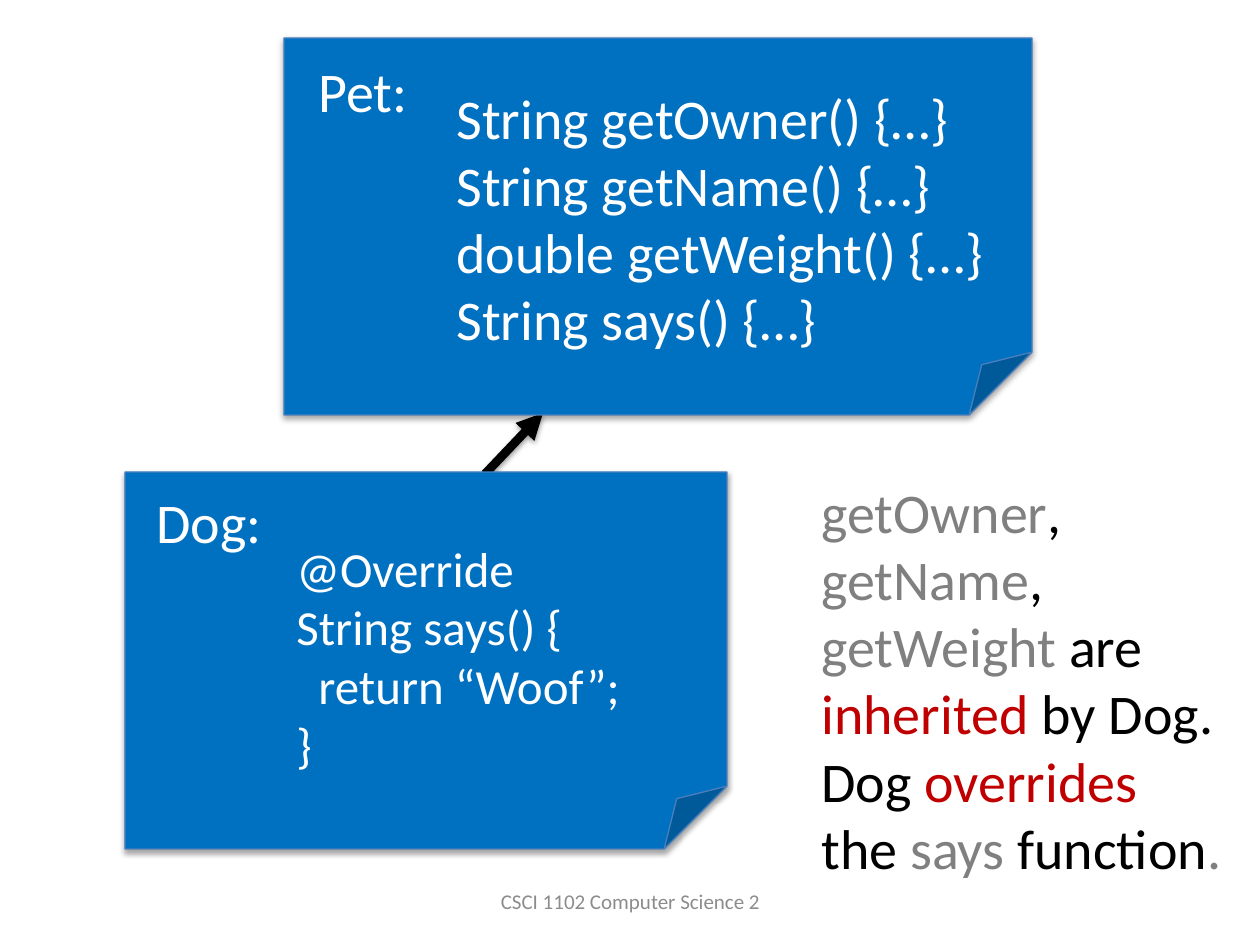
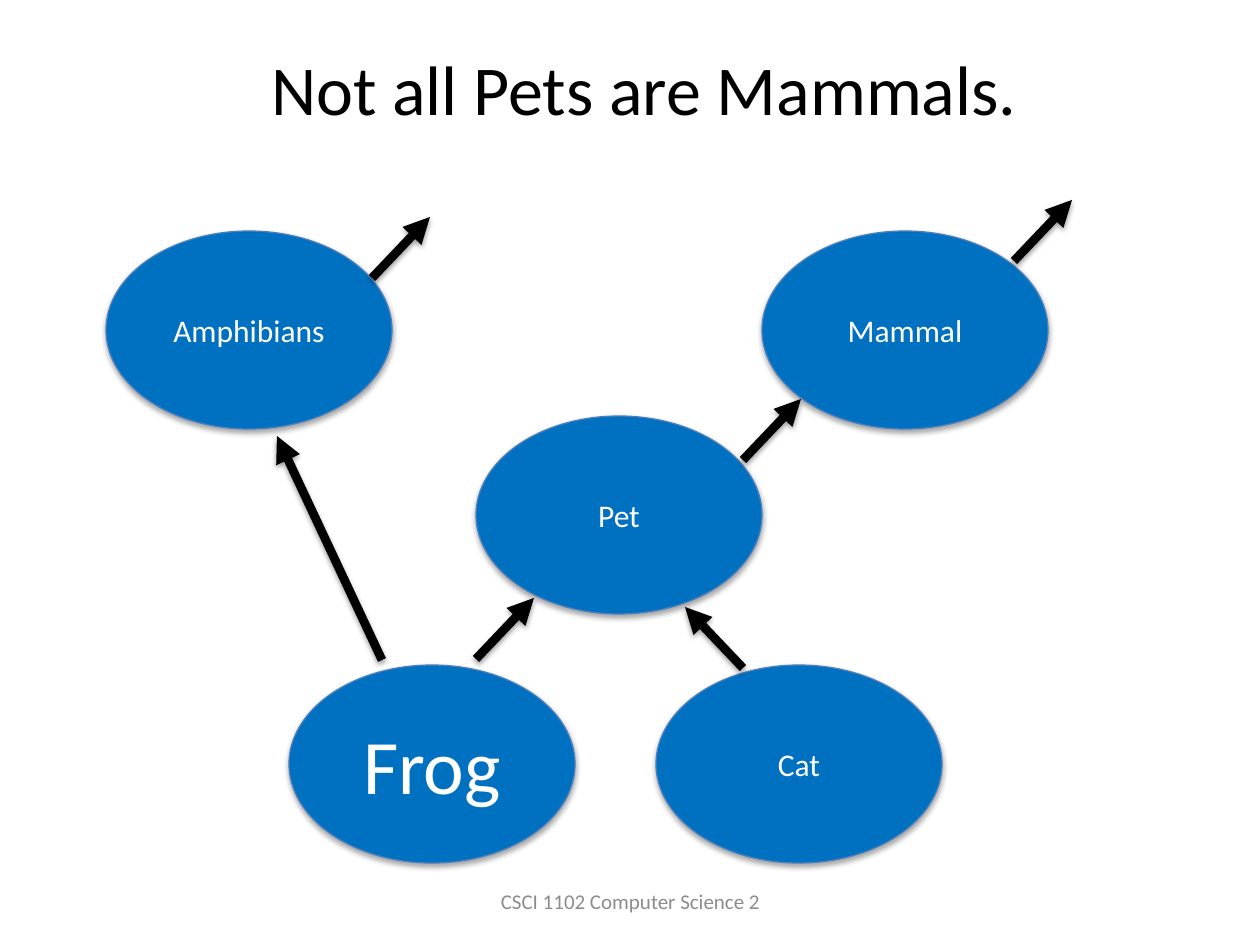
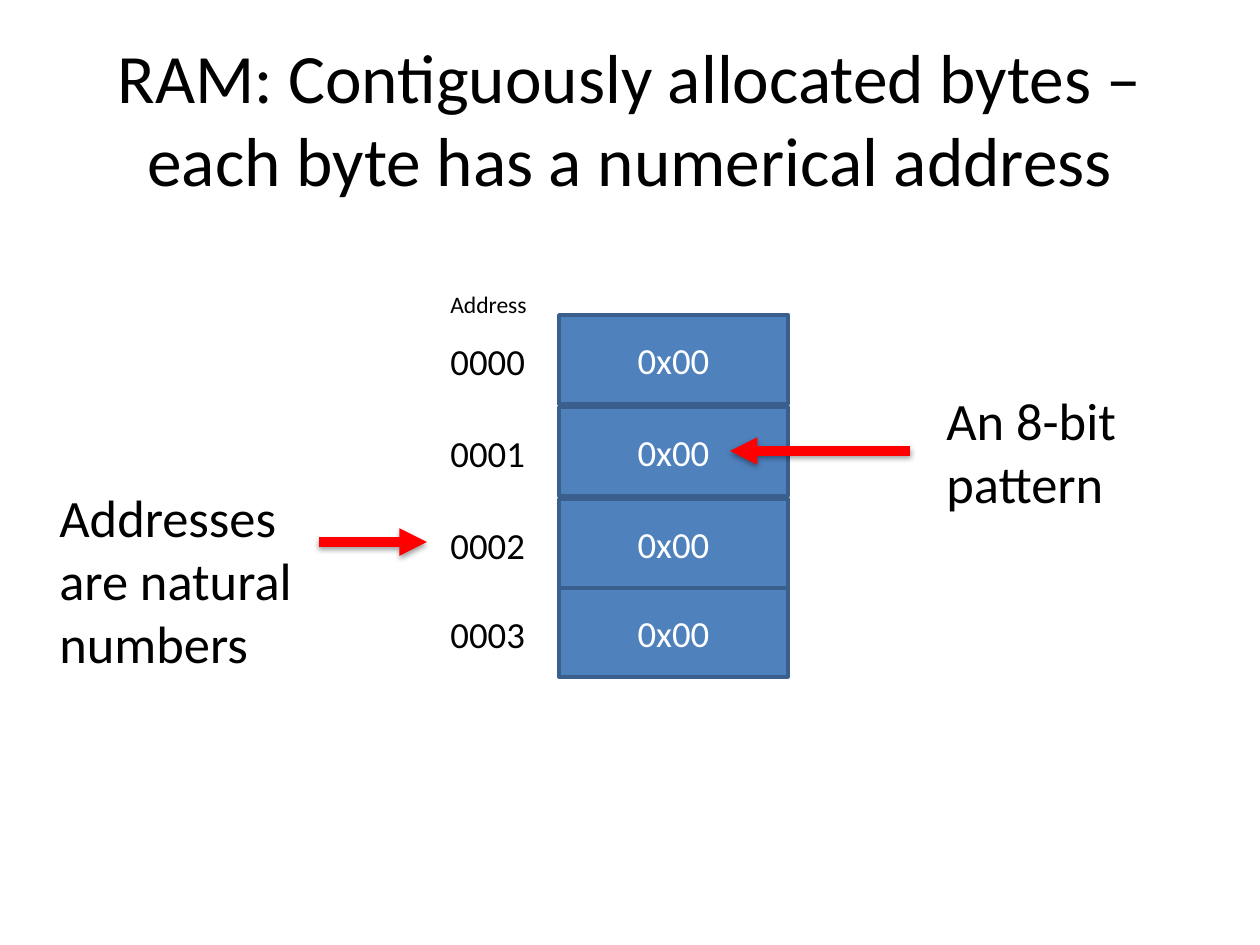
from lxml.etree import SubElement
from pptx import Presentation
from pptx.dml.color import RGBColor
from pptx.enum.shapes import MSO_CONNECTOR as LINK, MSO_SHAPE as SHAPE
from pptx.enum.text import MSO_ANCHOR as ANCHOR, MSO_AUTO_SIZE as FIT, PP_ALIGN as ALIGN
from pptx.oxml.ns import qn
from pptx.util import Pt

PX = 914400 / 126
FONT = "Calibri"
COLORS = {
    "black": "000000", "white": "FFFFFF", "gray": "808080", "footer": "8C8C8C",
    "accent": "C00000", "blue": "0070C0", "blue_edge": "4B7EBC",
    "cell": "4F81BD", "cell_edge": "3A5F8C", "red": "FF0000",
}
FOOTER = "CSCI 1102 Computer Science 2"
OVAL_SIZE = (286, 198)
STEP = (58, 61)


def emu(*lengths):
    return [round(length * PX) for length in lengths]


def rgb(name):
    return RGBColor.from_string(COLORS[name])


def write(shape, paragraphs, size, color, align=ALIGN.LEFT):
    """Fill a shape with paragraphs, each a string or a list of (text, color)."""
    frame = shape.text_frame
    for index, spans in enumerate(paragraphs):
        para = frame.paragraphs[0] if index == 0 else frame.add_paragraph()
        para.alignment = align
        if isinstance(spans, str):
            spans = [(spans, color)]
        for text, span_color in spans:
            for number, line in enumerate(text.split("\n")):
                if number:
                    para.add_line_break()
                span = para.add_run()
                span.text = line
                span.font.name = FONT
                span.font.size = Pt(size)
                span.font.color.rgb = rgb(span_color)


def add_text(page, box, paragraphs, size, color="black", align=ALIGN.LEFT,
             wrap=True, grow=True, anchor=ANCHOR.TOP):
    shape = page.shapes.add_textbox(*emu(*box))
    frame = shape.text_frame
    frame.word_wrap = wrap
    frame.auto_size = FIT.SHAPE_TO_FIT_TEXT if grow else FIT.NONE
    frame.vertical_anchor = anchor
    write(shape, paragraphs, size, color, align)


def add_shadow(shape, distance, opacity):
    effects = SubElement(shape._element.spPr, qn("a:effectLst"))
    shadow = SubElement(effects, qn("a:outerShdw"), blurRad="40000", dist=str(distance),
                        dir="5400000", rotWithShape="0")
    color = SubElement(shadow, qn("a:srgbClr"), val=COLORS["black"])
    SubElement(color, qn("a:alpha"), val=str(opacity * 1000))


def add_block(page, kind, box, fill, edge, width):
    shape = page.shapes.add_shape(kind, *emu(*box))
    shape.fill.solid()
    shape.fill.fore_color.rgb = rgb(fill)
    shape.line.color.rgb = rgb(edge)
    shape.line.width = Pt(width)
    return shape


def add_blue(page, kind, box):
    shape = add_block(page, kind, box, "blue", "blue_edge", 0.75)
    add_shadow(shape, 23000, 35)
    return shape


def add_arrow(page, start, end, color="black", width=5):
    arrow = page.shapes.add_connector(LINK.STRAIGHT, *emu(*start, *end))
    arrow.line.color.rgb = rgb(color)
    arrow.line.width = Pt(width)
    SubElement(arrow.line._ln, qn("a:tailEnd"), type="triangle")
    add_shadow(arrow, 20000, 38)


def add_step_arrow(page, start, direction=1):
    """Short arrow going up to the right (1) or to the left (-1)."""
    x, y = start
    add_arrow(page, start, (x + direction * STEP[0], y - STEP[1]))


def add_footer(page):
    add_text(page, (431, 876, 399, 50), [FOOTER], 12, "footer", ALIGN.CENTER,
             grow=False, anchor=ANCHOR.MIDDLE)


def add_class_note(page, box, name, name_box, code, code_box, size):
    """Folded note of a class; the inner boxes are relative to the note."""
    left, top = box[:2]
    add_blue(page, SHAPE.FOLDED_CORNER, box)
    for (x, y, width, height), lines, points in (
            (code_box, code, size), (name_box, [name], 32)):
        add_text(page, (left + x, top + y, width, height), lines, points, "white", wrap=False)


def add_oval(page, left, top, label, size=18):
    oval = add_blue(page, SHAPE.OVAL, (left, top, *OVAL_SIZE))
    oval.text_frame.vertical_anchor = ANCHOR.MIDDLE
    write(oval, [label], size, "white", ALIGN.CENTER)


def add_memory(page, left, top):
    """Column of addressed bytes, with its heading above the addresses."""
    for index, offset in enumerate((0, 92, 184, 273)):
        y = top + offset
        cell = add_block(page, SHAPE.RECTANGLE, (left + 121, y, 229, 89),
                         "cell", "cell_edge", 2)
        cell.shadow.inherit = False
        cell.text_frame.vertical_anchor = ANCHOR.MIDDLE
        write(cell, ["0x00"], 21, "white", ALIGN.CENTER)
        add_text(page, (left, y + 18, 105, 57), [f"{index:04d}"], 21)
    add_text(page, (left, top - 31, 103, 42), ["Address"], 13.5, wrap=False)


def build_override(page):
    add_step_arrow(page, (485, 474))
    add_footer(page)
    add_class_note(
        page, (284, 38, 748, 377), "Pet:", (22, 12, 116, 81),
        ["String getOwner() {…}", "String getName() {…}",
         "double getWeight() {…}", "String says() {…}"],
        (160, 39, 558, 285), 32)
    add_class_note(
        page, (125, 472, 602, 377), "Dog:", (19, 9, 132, 81),
        ["@Override", "String says() {", "  return “Woof”;", "}"],
        (159, 60, 353, 251), 28)
    add_text(page, (809, 471, 428, 420), [[
        ("getOwner", "gray"), (", ", "black"), ("getName", "gray"), (", ", "black"),
        ("getWeight", "gray"), (" are ", "black"), ("inherited", "accent"),
        (" by Dog. Dog ", "black"), ("overrides ", "accent"), ("the ", "black"),
        ("says ", "gray"), ("function", "black"), (".", "gray")]], 32)


def build_hierarchy(page):
    add_footer(page)
    add_oval(page, 289, 665, "Frog", 44)
    add_oval(page, 476, 416, "Pet")
    add_oval(page, 656, 665, "Cat")
    add_oval(page, 106, 231, "Amphibians")
    add_oval(page, 762, 231, "Mammal")
    for start in ((476, 659), (743, 460), (1014, 261), (372, 278)):
        add_step_arrow(page, start)
    add_step_arrow(page, (743, 668), -1)
    add_arrow(page, (382, 660), (277, 436))
    add_text(page, (205, 39, 878, 97), ["Not all Pets are Mammals."], 40, align=ALIGN.CENTER)


def build_ram(page):
    add_text(page, (63, 38, 1134, 158),
             ["RAM: Contiguously allocated bytes –\neach byte has a numerical address"],
             39.6, align=ALIGN.CENTER, grow=False, anchor=ANCHOR.MIDDLE)
    add_memory(page, 438, 315)
    add_text(page, (47, 479, 260, 204), ["Addresses are natural numbers"], 30)
    add_text(page, (934, 382, 229, 140), ["An 8-bit pattern"], 30)
    add_arrow(page, (319, 542), (427, 542), "red", 5.25)
    add_arrow(page, (910, 451), (730, 451), "red", 5.25)


def main():
    deck = Presentation()
    deck.slide_width, deck.slide_height = emu(1260, 945)
    for build in (build_override, build_hierarchy, build_ram):
        build(deck.slides.add_slide(deck.slide_layouts[6]))
    deck.save("out.pptx")


if __name__ == "__main__":
    main()
